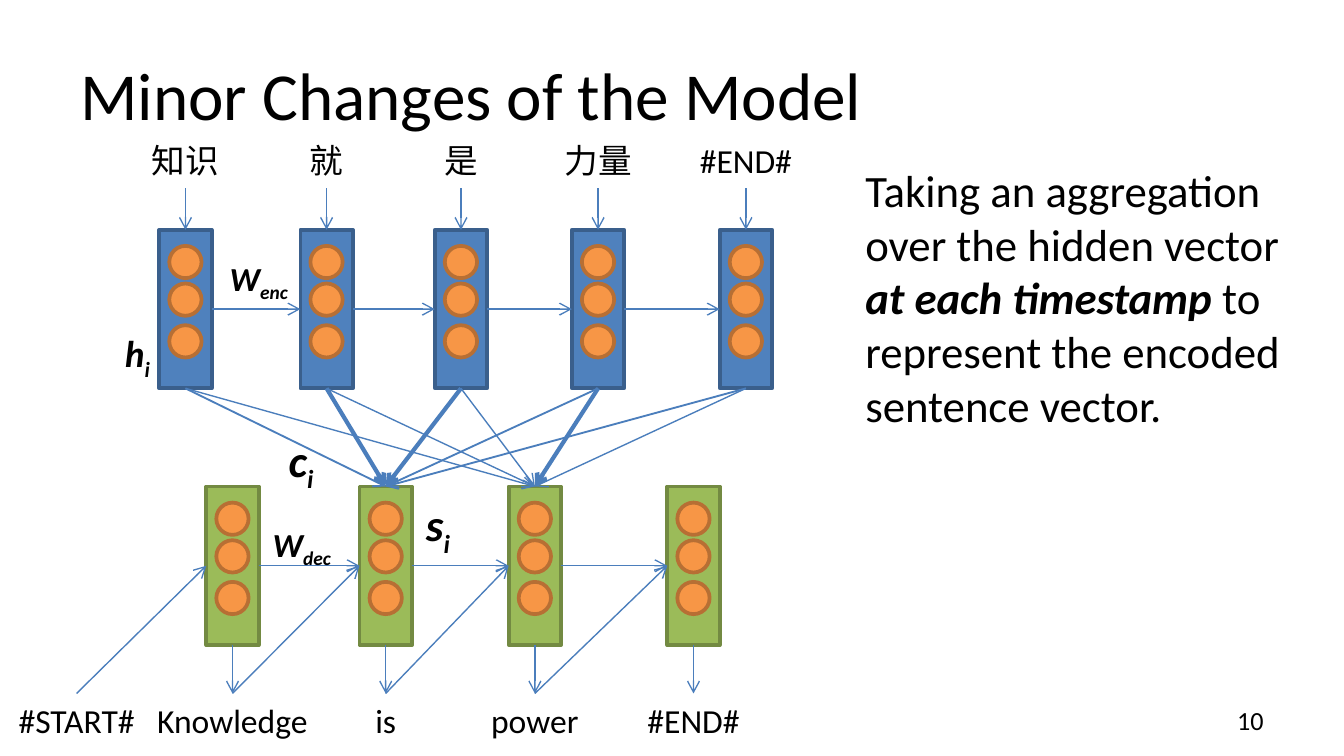
from lxml import etree
from pptx import Presentation
from pptx.dml.color import RGBColor
from pptx.enum.shapes import MSO_CONNECTOR, MSO_SHAPE
from pptx.enum.text import MSO_ANCHOR, PP_ALIGN
from pptx.oxml.ns import qn
from pptx.util import Inches, Pt

STRAIGHT = MSO_CONNECTOR.STRAIGHT
RECTANGLE, OVAL = MSO_SHAPE.RECTANGLE, MSO_SHAPE.OVAL
TOP, MIDDLE = MSO_ANCHOR.TOP, MSO_ANCHOR.MIDDLE
LEFT, CENTER, RIGHT = PP_ALIGN.LEFT, PP_ALIGN.CENTER, PP_ALIGN.RIGHT

BLACK = RGBColor(0x00, 0x00, 0x00)
BLUE = RGBColor(0x4F, 0x81, 0xBD)
BLUE_EDGE = RGBColor(0x3A, 0x5F, 0x8C)
GREEN = RGBColor(0x9B, 0xBB, 0x59)
GREEN_EDGE = RGBColor(0x73, 0x8A, 0x42)
ORANGE = RGBColor(0xF7, 0x96, 0x46)
ORANGE_EDGE = RGBColor(0xB7, 0x6F, 0x34)
ARROW = RGBColor(0x4B, 0x7E, 0xBC)

FONT = "Calibri"
CELL_WIDTH, CELL_HEIGHT = 0.39, 1.18
UNIT_SIZE = 0.24
UNIT_OFFSETS = (0.12, 0.4, 0.71)
LABEL_WIDTH, LABEL_HEIGHT = 0.94, 0.4
THIN, MEDIUM, THICK = 0.75, 1, 2.25

ENCODER_BOX = (0.91, 0.99, 5.11, 1.9)
ENCODER_CENTERS = (0.47, 1.52, 2.52, 3.54, 4.64)
ENCODER_WORDS = ("知识", "就", "是", "力量", "#END#")
DECODER_BOX = (-0.04, 3.62, 5.67, 1.94)
DECODER_CENTERS = (1.77, 2.91, 4.02, 5.2)
DECODER_WORDS = (
    ("#START#", 0.61, 1.22),
    ("Knowledge", 1.77, 1.43),
    ("is", 2.91, LABEL_WIDTH),
    ("power", 4.02, LABEL_WIDTH),
    ("#END#", 5.2, LABEL_WIDTH),
)
ATTENTION_WEIGHTS = (
    (MEDIUM, THICK, THICK, MEDIUM, MEDIUM),
    (THIN, THIN, THIN, THICK, THIN),
)
SYMBOLS = (
    ("W", "enc", 18, (1.61, 1.87, 0.73, 0.4)),
    ("W", "dec", 18, (1.93, 3.85, 0.73, 0.4)),
    ("h", "i", 20, (0.83, 2.41, 0.51, 0.44)),
    ("s", "i", 24, (3.07, 3.65, 0.51, 0.5)),
    ("c", "i", 24, (2.05, 3.17, 0.51, 0.5)),
)


def add_text(page, box, parts, size, align=LEFT, anchor=TOP):
    frame = page.shapes.add_textbox(*map(Inches, box)).text_frame
    frame.word_wrap = True
    frame.vertical_anchor = anchor
    para = frame.paragraphs[0]
    para.alignment = align
    for text, emphasis in parts:
        span = para.add_run()
        span.text = text
        span.font.name = FONT
        span.font.size = Pt(size)
        span.font.color.rgb = BLACK
        span.font.bold = span.font.italic = emphasis
    return para


def add_word(page, text, center, top, width=LABEL_WIDTH):
    box = (center - width / 2, top, width, LABEL_HEIGHT)
    add_text(page, box, [(text, False)], 18, CENTER)


def add_symbol(page, base, subscript, size, box):
    para = add_text(page, box, [(base, True), (subscript, True)], size)
    para.runs[1].font._element.set("baseline", "-25000")


def add_arrow(page, start, end, weight=THIN):
    arrow = page.shapes.add_connector(STRAIGHT, *map(Inches, (*start, *end)))
    arrow.line.color.rgb = ARROW
    arrow.line.width = Pt(weight)
    line = arrow.line._get_or_add_ln()
    etree.SubElement(line, qn("a:tailEnd"), type="arrow")
    etree.SubElement(arrow._element.spPr, qn("a:effectLst"))


def add_outlined(group, kind, box, fill, edge):
    shape = group.shapes.add_shape(kind, *map(Inches, box))
    shape.shadow.inherit = False
    shape.fill.solid()
    shape.fill.fore_color.rgb = fill
    shape.line.color.rgb = edge
    shape.line.width = Pt(2)


def add_cell(page, center, top, fill, edge):
    group = page.shapes.add_group_shape()
    body = (center - CELL_WIDTH / 2, top, CELL_WIDTH, CELL_HEIGHT)
    add_outlined(group, RECTANGLE, body, fill, edge)
    for offset in UNIT_OFFSETS:
        unit = (center - UNIT_SIZE / 2, top + offset, UNIT_SIZE, UNIT_SIZE)
        add_outlined(group, OVAL, unit, ORANGE, ORANGE_EDGE)


def link_cells(page, centers, middle):
    for before, after in zip(centers, centers[1:]):
        start = (before + CELL_WIDTH / 2, middle)
        add_arrow(page, start, (after - CELL_WIDTH / 2, middle))


def add_encoder(page, box):
    left, top, _, height = box
    bottom = top + height
    cell_top = bottom - CELL_HEIGHT
    centers = [left + center for center in ENCODER_CENTERS]
    for center, word in zip(centers, ENCODER_WORDS):
        add_cell(page, center, cell_top, BLUE, BLUE_EDGE)
        add_arrow(page, (center, top + 0.41), (center, cell_top))
        add_word(page, word, center, top)
    link_cells(page, centers, cell_top + CELL_HEIGHT / 2)
    return [(center, bottom) for center in centers]


def add_decoder(page, box):
    left, top, _, height = box
    word_top = top + height - LABEL_HEIGHT
    middle = top + CELL_HEIGHT / 2
    centers = [left + center for center in DECODER_CENTERS]
    words = [(text, left + center, width) for text, center, width in DECODER_WORDS]
    for center in centers:
        add_cell(page, center, top, GREEN, GREEN_EDGE)
        add_arrow(page, (center, top + CELL_HEIGHT), (center, word_top))
    for text, center, width in words:
        add_word(page, text, center, word_top, width)
    for (_, start, _), center in zip(words, centers):
        add_arrow(page, (start, word_top), (center - CELL_WIDTH / 2, middle))
    link_cells(page, centers, middle)
    return [(center, top) for center in centers]


def add_attention(page, sources, targets):
    for target, weights in zip(targets, ATTENTION_WEIGHTS):
        for source, weight in zip(sources, weights):
            add_arrow(page, source, target, weight)


def add_explanation(page, box):
    parts = [
        ("Taking an aggregation over the hidden vector ", False),
        ("at each timestamp", True),
        (" to represent the encoded sentence vector.", False),
    ]
    add_text(page, box, parts, 24)


def main():
    deck = Presentation()
    deck.slide_width = Inches(10)
    deck.slide_height = deck.slide_width * 9 // 16
    page = deck.slides.add_slide(deck.slide_layouts[6])

    title = [("Minor Changes of the Model", False)]
    add_text(page, (0.5, 0.23, 9, 0.94), title, 36, anchor=MIDDLE)
    sources = add_encoder(page, ENCODER_BOX)
    states = add_decoder(page, DECODER_BOX)
    add_attention(page, sources, states[1:3])
    for symbol in SYMBOLS:
        add_symbol(page, *symbol)
    add_explanation(page, (6.34, 1.16, 3.43, 2.12))
    add_text(page, (7.17, 5.21, 2.33, 0.3), [("10", False)], 14, RIGHT, MIDDLE)

    deck.save("out.pptx")


if __name__ == "__main__":
    main()
